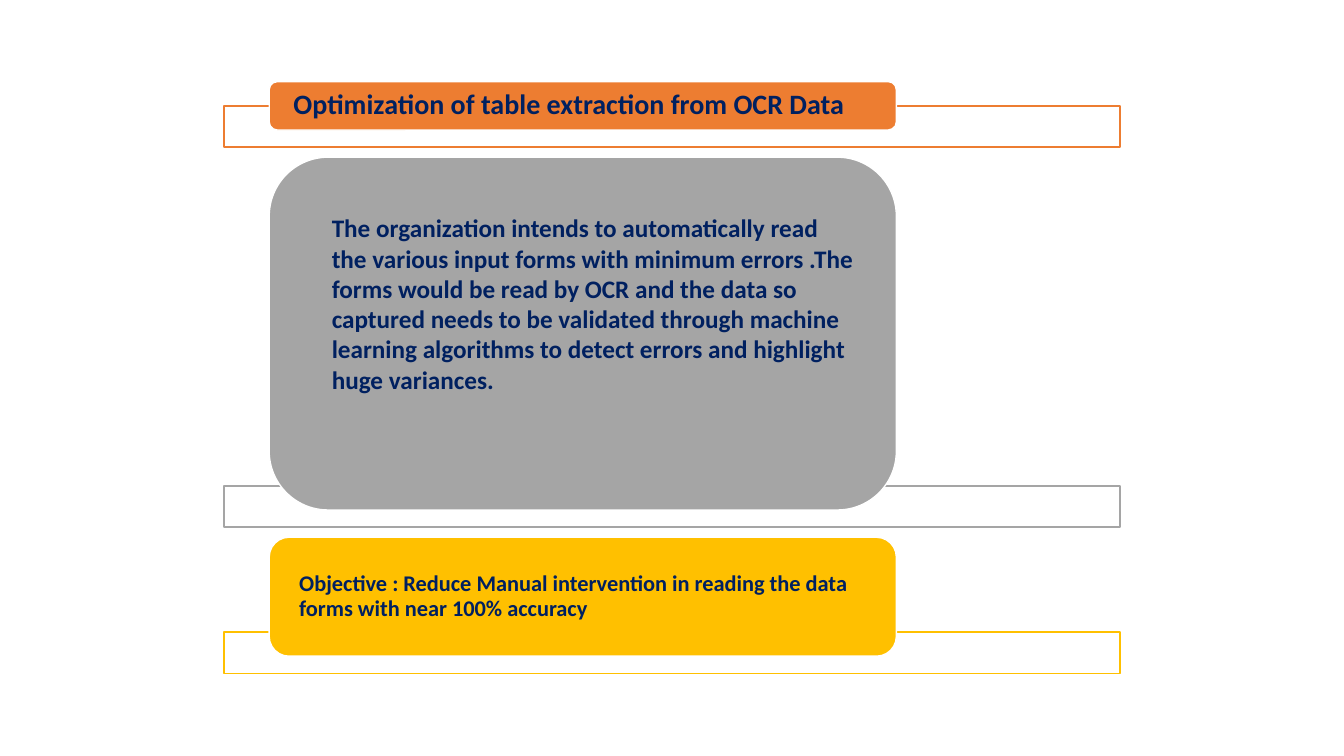
import pptx
import pptx.util
import pptx.dml.color
import pptx.enum.shapes
import pptx.enum.text
from dataclasses import dataclass

Inches = pptx.util.Inches
Pt = pptx.util.Pt
RGB = pptx.dml.color.RGBColor.from_string
Shape = pptx.enum.shapes.MSO_SHAPE
Anchor = pptx.enum.text.MSO_ANCHOR


@dataclass
class Theme:
    font: str = "Calibri"
    ink: str = "002060"
    white: str = "FFFFFF"
    orange: str = "ED7D31"
    gray: str = "A5A5A5"
    gold: str = "FFC000"
    title_size: int = 20
    body_size: int = 18
    objective_size: int = 16


theme = Theme()


def add_panel(kind, left, top, width, height, fill, line):
    panel = page.shapes.add_shape(
        kind, Inches(left), Inches(top), Inches(width), Inches(height))
    panel.shadow.inherit = False
    panel.fill.solid()
    panel.fill.fore_color.rgb = RGB(fill)
    panel.line.color.rgb = RGB(line)
    panel.line.width = Pt(1)
    return panel


def write_text(box, text, size, insets, anchor, spacing):
    frame = box.text_frame
    frame.word_wrap = True
    frame.auto_size = pptx.enum.text.MSO_AUTO_SIZE.NONE
    frame.vertical_anchor = anchor
    frame.margin_left, frame.margin_top, frame.margin_right, frame.margin_bottom = [
        Inches(inset) for inset in insets]
    para = frame.paragraphs[0]
    para.text = text
    para.alignment = pptx.enum.text.PP_ALIGN.LEFT
    para.line_spacing = spacing
    para.font.name = theme.font
    para.font.size = Pt(size)
    para.font.bold = True
    para.font.color.rgb = RGB(theme.ink)


# Deck and page
deck = pptx.Presentation()
deck.slide_width = Inches(13.33)
deck.slide_height = Inches(7.5)
page = deck.slides.add_slide(deck.slide_layouts.get_by_name("Title Only"))

# Stacked cards, each overlapping the top of a wide outlined frame
card_left, card_width = 2.67, 6.22
frame_left, frame_width, frame_height = 2.22, 8.89, 0.41
card_gap, overlap = 0.27, 0.24
top = 0.81
cards = []
for color, height in [(theme.orange, 0.48), (theme.gray, 3.5), (theme.gold, 1.18)]:
    add_panel(Shape.RECTANGLE, frame_left, top + height - overlap,
              frame_width, frame_height, theme.white, color)
    cards.append(add_panel(Shape.ROUNDED_RECTANGLE, card_left, top,
                           card_width, height, color, theme.white))
    top += height + card_gap
title_card, problem_card, objective_card = cards

# Title, brought in front of its card
title = page.shapes.title
title.left, title.top = title_card.left, title_card.top
title.width, title.height = title_card.width, title_card.height
title.element.getparent().append(title.element)
side_insets = (0.24, 0, 0.24, 0)
write_text(title, "Optimization of table extraction from OCR Data",
           theme.title_size, side_insets, Anchor.MIDDLE, 0.9)

# Problem statement and objective
write_text(problem_card,
           "The organization intends to automatically read the various input "
           "forms with minimum errors .The forms would be read by OCR and the "
           "data so captured needs to be validated through machine learning "
           "algorithms to detect errors and highlight huge variances.",
           theme.body_size, (0.45, 0.38, 0.24, 0), Anchor.TOP, 1.0)
write_text(objective_card,
           "Objective : Reduce Manual intervention in reading the data forms "
           "with near 100% accuracy",
           theme.objective_size, side_insets, Anchor.MIDDLE, 0.9)

deck.save("out.pptx")
